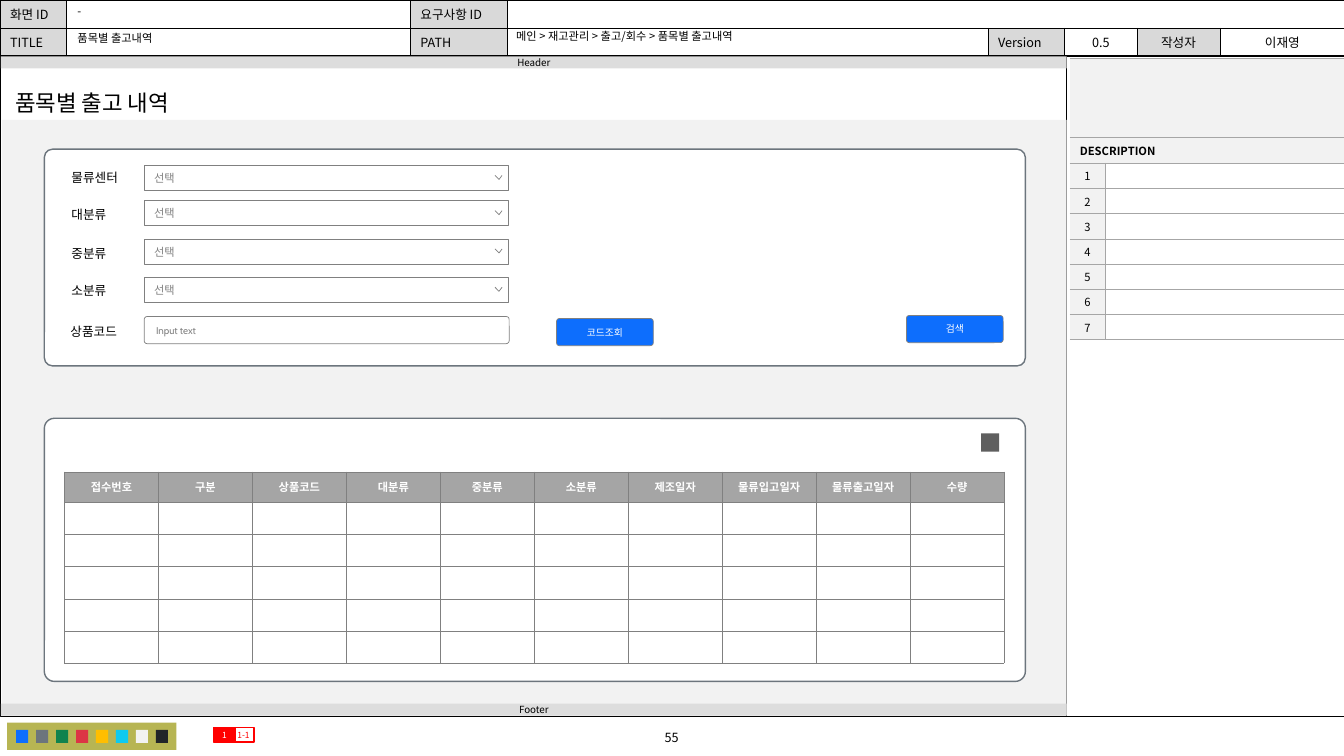
from lxml import etree
from pptx import Presentation
from pptx.dml.color import RGBColor
from pptx.enum.shapes import MSO_CONNECTOR, MSO_SHAPE
from pptx.enum.text import MSO_ANCHOR, MSO_AUTO_SIZE, PP_ALIGN
from pptx.oxml.ns import qn
from pptx.util import Inches, Pt

RECT, ROUND = MSO_SHAPE.RECTANGLE, MSO_SHAPE.ROUNDED_RECTANGLE
STRAIGHT = MSO_CONNECTOR.STRAIGHT
TOP, MIDDLE = MSO_ANCHOR.TOP, MSO_ANCHOR.MIDDLE
LEFT, CENTER = PP_ALIGN.LEFT, PP_ALIGN.CENTER
NO_FIT = MSO_AUTO_SIZE.NONE

NOTO, CABIN = "Noto Sans CJK KR", "Cabin"
BLACK, WHITE = RGBColor(0, 0, 0), RGBColor(255, 255, 255)
RED, BLUE = RGBColor(255, 0, 0), RGBColor(0x0D, 0x6E, 0xFD)
SLATE, GRAY = RGBColor(0x6C, 0x75, 0x7D), RGBColor(0x80, 0x80, 0x80)
PALE, BAR = RGBColor(0xF2, 0xF2, 0xF2), RGBColor(0xDD, 0xDD, 0xDD)
LABEL, RULE = RGBColor(0xD9, 0xD9, 0xD9), RGBColor(0xA6, 0xA6, 0xA6)
HEAD, ICON = RGBColor(0xA5, 0xA5, 0xA5), RGBColor(0x5F, 0x5F, 0x5F)
OLIVE = RGBColor(0xB7, 0xB5, 0x53)
PALETTE = [BLUE, SLATE, RGBColor(0x10, 0x83, 0x4E), RGBColor(0xDC, 0x35, 0x45),
           RGBColor(0xFF, 0xBE, 0), RGBColor(0x0D, 0xCA, 0xF0), PALE,
           RGBColor(0x21, 0x25, 0x29)]

INFO_ROWS = [["화면 ID", "", "요구사항 ID", "", "", "", "", ""],
             ["TITLE", "", "PATH", "", "Version", "0.5", "작성자", "이재영"]]
INFO_WIDTHS = [0.66, 3.41, 0.96, 4.77, 0.76, 0.72, 0.82, 1.24]
FIELDS = [("물류센터", 1.64, 1.64), ("대분류", 2.0, 1.99),
          ("중분류", 2.39, 2.37), ("소분류", 2.76, 2.75)]
COLUMNS = ["접수번호", "구분", "상품코드", "대분류", "중분류", "소분류",
           "제조일자", "물류입고일자", "물류출고일자", "수량"]


def set_text(frame, text, size, color=BLACK, font=NOTO, align=LEFT, bold=False):
    frame.text = text
    para = frame.paragraphs[0]
    para.alignment = align
    for span in para.runs:
        span.font.size, span.font.bold, span.font.name = Pt(size), bold, font
        span.font.color.rgb = color
        etree.SubElement(span.font._element, qn("a:ea"), typeface=NOTO)
    if not text:
        etree.SubElement(para._p, qn("a:endParaRPr"), sz=str(size * 100))
    return para


def set_margins(frame, sides):
    (frame.margin_left, frame.margin_top,
     frame.margin_right, frame.margin_bottom) = map(Inches, sides)


def set_paint(shape, fill, line, width):
    shape.shadow.inherit = False
    if fill is None:
        shape.fill.background()
    else:
        shape.fill.solid()
        shape.fill.fore_color.rgb = fill
    if line is None:
        shape.line.fill.background()
    else:
        shape.line.color.rgb = line
        shape.line.width = Pt(width)


def add_box(page, place, fill=None, line=None, width=0.5, radius=None):
    box = page.shapes.add_shape(RECT if radius is None else ROUND, *map(Inches, place))
    if radius is not None:
        box.adjustments[0] = radius
    set_paint(box, fill, line, width)
    return box


def add_label_box(page, place, text, size, color=BLACK, font=NOTO, align=CENTER,
                  margins=(0, 0, 0, 0), **look):
    frame = add_box(page, place, **look).text_frame
    set_margins(frame, margins)
    frame.word_wrap = True
    frame.vertical_anchor = MIDDLE
    set_text(frame, text, size, color, font, align)


def add_text(page, place, text, size, align=LEFT, spacing=None):
    frame = page.shapes.add_textbox(*map(Inches, place)).text_frame
    frame.word_wrap = True
    para = set_text(frame, text, size, align=align)
    if spacing:
        para.line_spacing = spacing


def add_select(page, top):
    add_label_box(page, (1.43, top, 3.61, 0.25), "선택", 8, GRAY, CABIN, LEFT,
                  (0.1, 0.06, 0.28, 0.06), fill=WHITE, line=GRAY)
    outline = page.shapes.build_freeform(Inches(4.98), Inches(top + 0.1))
    outline.add_line_segments([(Inches(4.95), Inches(top + 0.14)),
                               (Inches(4.91), Inches(top + 0.1))], close=False)
    set_paint(outline.convert_to_shape(), WHITE, GRAY, 0.5)


def add_grid(page, left, top, widths, heights):
    table = page.shapes.add_table(
        len(heights), len(widths), Inches(left), Inches(top),
        Inches(sum(widths)), Inches(sum(heights))).table
    table.first_row = table.horz_banding = False
    for column, width in zip(table.columns, widths):
        column.width = Inches(width)
    for row, height in zip(table.rows, heights):
        row.height = Inches(height)
    return table


def set_cell(cell, text, size, fill, border, width, sides="LRTB",
             margins=(0.1, 0.04, 0.1, 0.04), **style):
    set_text(cell.text_frame, text, size, **style)
    cell.vertical_anchor = MIDDLE
    set_margins(cell, margins)
    for side in "LRTB":
        edge = etree.SubElement(cell._tc.get_or_add_tcPr(), qn("a:ln" + side),
                                w=str(Pt(width)))
        if side in sides:
            paint = etree.SubElement(edge, qn("a:solidFill"))
            etree.SubElement(paint, qn("a:srgbClr"), val=str(border))
        else:
            etree.SubElement(edge, qn("a:noFill"))
    cell.fill.solid()
    cell.fill.fore_color.rgb = fill


def add_info_table(page):
    table = add_grid(page, 0, 0, INFO_WIDTHS, [0.28, 0.28])
    for r, texts in enumerate(INFO_ROWS):
        for c, text in enumerate(texts):
            fill = LABEL if text and c % 2 == 0 else WHITE
            set_cell(table.cell(r, c), text, 9, fill, BLACK, 0.5,
                     align=CENTER if c > 4 else LEFT)
    table.cell(0, 3).merge(table.cell(0, 7))


def add_description_table(page):
    table = add_grid(page, 10.61, 0.58, [0.35, 2.37], [0.78, 0.26] + [0.25] * 7)
    for r, text in enumerate(["", "DESCRIPTION"]):
        for c in range(2):
            set_cell(table.cell(r, c), "" if c else text, 8, PALE, RULE, 0.5, "TB",
                     bold=True)
        table.cell(r, 0).merge(table.cell(r, 1))
    for number in range(1, 8):
        set_cell(table.cell(number + 1, 0), str(number), 8, PALE, RULE, 0.5, "RTB",
                 (0, 0, 0, 0), align=CENTER)
        set_cell(table.cell(number + 1, 1), "", 8, WHITE, RULE, 0.5, "LTB")


def add_result_table(page):
    table = add_grid(page, 0.64, 4.68, [0.932] * len(COLUMNS), [0.3] + [0.32] * 5)
    for r in range(6):
        for c, name in enumerate(COLUMNS):
            set_cell(table.cell(r, c), "" if r else name, 8, WHITE if r else HEAD,
                     GRAY, 0.25, margins=(0.06, 0.04, 0.06, 0.04),
                     color=WHITE, align=CENTER, bold=True)


def add_frame(page):
    add_box(page, (0, 0.55, 13.33, 6.56), line=BLACK, width=0.25)
    add_text(page, (5.37, 7.19, 2.58, 0.25), "55", 9, CENTER)
    divider = page.shapes.add_connector(STRAIGHT, Inches(10.58), Inches(0.56),
                                        Inches(10.58), Inches(7.11))
    divider.line.color.rgb = BLACK
    divider.line.width = Pt(0.5)
    etree.SubElement(divider._element.spPr, qn("a:effectLst"))
    add_box(page, (0.07, 7.17, 1.68, 0.27), OLIVE)
    for index, color in enumerate(PALETTE):
        add_box(page, (0.16 + 0.198 * index, 7.24, 0.12, 0.13), color)
    add_box(page, (0.02, 1.19, 10.56, 5.91), PALE)
    for text, top in [("Footer", 6.98), ("Header", 0.56)]:
        add_label_box(page, (0.01, top, 10.57, 0.12), text, 7, fill=BAR)


def set_title(page):
    title = page.shapes.title
    title.left, title.top, title.width, title.height = map(
        Inches, (0.05, 0.83, 1.92, 0.37))
    frame = title.text_frame
    set_text(frame, "품목별 출고 내역", 16)
    frame.auto_size = NO_FIT
    frame.word_wrap = False
    frame.vertical_anchor = TOP


def main():
    deck = Presentation()
    deck.slide_width, deck.slide_height = Inches(13.33), Inches(7.5)
    page = deck.slides.add_slide(deck.slide_layouts[5])
    set_title(page)

    # Page frame and screen information
    add_info_table(page)
    add_frame(page)
    add_description_table(page)
    add_text(page, (5.02, 0.26, 4.74, 0.23),
             "메인 > 재고관리 > 출고/회수 > 품목별 출고내역", 8, spacing=0.9)
    add_text(page, (0.67, 0.01, 3.4, 0.23), "-", 8, spacing=0.9)
    add_text(page, (0.67, 0.28, 3.38, 0.2), "품목별 출고내역", 8, spacing=0.9)

    # Number markers
    add_label_box(page, (2.31, 7.22, 0.21, 0.14), "1-1", 6, RED, line=RED, width=1)
    add_label_box(page, (2.12, 7.22, 0.21, 0.14), "1", 6, WHITE,
                  fill=RED, line=RED, width=1)

    # Search panel
    add_box(page, (0.44, 1.48, 9.73, 2.15), WHITE, SLATE, 1, 0.038)
    for label, label_top, select_top in FIELDS:
        add_text(page, (0.61, label_top, 0.75, 0.25), label, 9)
        add_select(page, select_top)
    add_text(page, (0.6, 3.16, 0.75, 0.25), "상품코드", 9)
    pad = (0.11, 0.07, 0.11, 0.07)
    add_label_box(page, (1.43, 3.14, 3.62, 0.27), "Input text", 7, GRAY, CABIN, LEFT,
                  pad, fill=WHITE, line=GRAY, radius=0.108)
    for text, left, top in [("코드조회", 5.52, 3.16), ("검색", 8.99, 3.13)]:
        add_label_box(page, (left, top, 0.96, 0.27), text, 7, WHITE, CABIN, CENTER,
                      pad, fill=BLUE, line=GRAY, radius=0.108)

    # Result panel
    add_box(page, (0.44, 4.15, 9.73, 2.61), WHITE, SLATE, 1, 0.038)
    add_result_table(page)
    add_box(page, (9.73, 4.3, 0.18, 0.18), ICON)

    deck.save("out.pptx")


if __name__ == "__main__":
    main()
